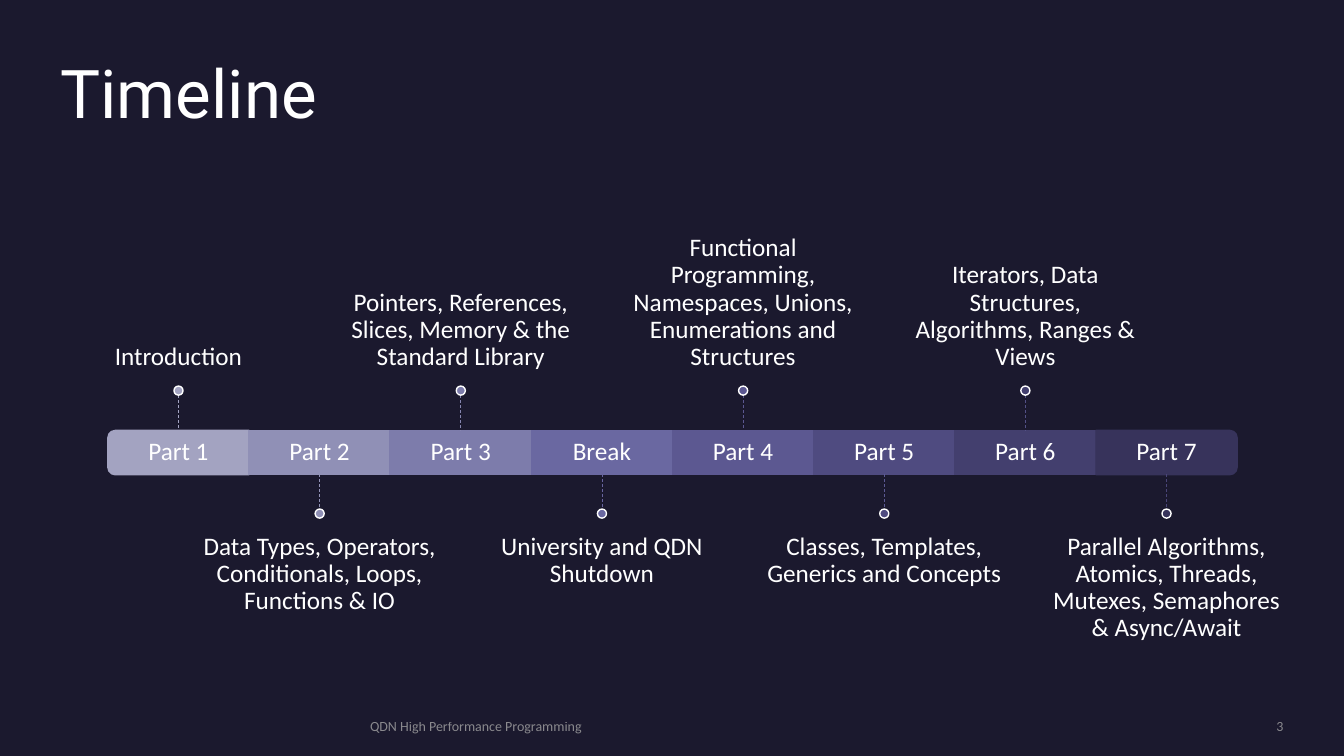
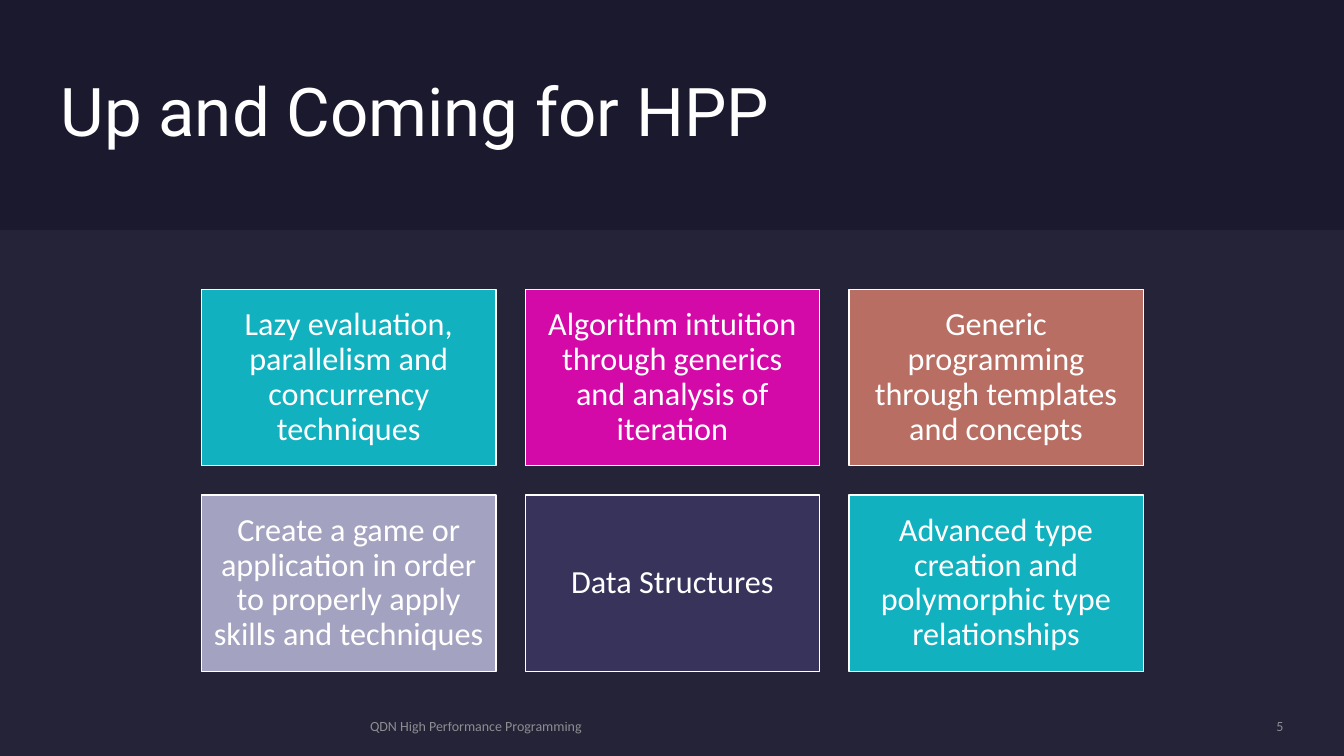
from dataclasses import dataclass
from lxml.etree import SubElement
from pptx import Presentation
from pptx.dml.color import RGBColor
from pptx.enum.dml import MSO_LINE
from pptx.enum.shapes import MSO_CONNECTOR, MSO_SHAPE as Preset
from pptx.enum.text import MSO_ANCHOR as Anchor, MSO_AUTO_SIZE, PP_ALIGN as Align
from pptx.oxml.ns import qn
from pptx.util import Inches, Pt


@dataclass(frozen=True)
class Theme:
    night: str = "1B192E"
    white: str = "FFFFFF"
    grey: str = "A6A6A6"
    band: str = "E4E3F0"
    teal: str = "12B1BF"
    magenta: str = "D40AA8"
    clay: str = "B86E62"
    lilac: str = "A3A3C1"
    indigo: str = "37335B"
    heading: str = "Roboto"
    body: str = "Calibri"
    title_size: int = 48
    card_size: int = 23
    step_size: int = 18
    footer_size: int = 10


theme = Theme()


def write(shape, text, size, color=theme.white, font=theme.body, align=Align.CENTER,
          anchor=Anchor.MIDDLE, inset=(0, 0, 0, 0), spacing=0.9):
    frame = shape.text_frame
    frame.text = text
    frame.word_wrap = True
    frame.auto_size = MSO_AUTO_SIZE.NONE
    frame.vertical_anchor = anchor
    frame.margin_left, frame.margin_top, frame.margin_right, frame.margin_bottom = map(Inches, inset)
    paragraph = frame.paragraphs[0]
    paragraph.alignment = align
    paragraph.line_spacing = spacing
    paragraph.font.name = font
    paragraph.font.size = Pt(size)
    paragraph.font.color.rgb = RGBColor.from_string(color)


def paint(shape, fill, line=None):
    shape.shadow.inherit = False
    shape.fill.solid()
    shape.fill.fore_color.rgb = RGBColor.from_string(fill)
    if line:
        shape.line.color.rgb = RGBColor.from_string(line)
        shape.line.width = Pt(1)
    else:
        shape.line.fill.background()


deck = Presentation()
deck.slide_width, deck.slide_height = Inches(13.33), Inches(7.5)
backdrop = deck.slide_master.background.fill
backdrop.solid()
backdrop.fore_color.rgb = RGBColor.from_string(theme.night)

slides = []
faded = []
for heading, number, width, height, anchor in [
    ("Timeline", "3", 12.13, 1.46, Anchor.TOP),
    ("Up and Coming for HPP", "5", 7.99, 1.08, Anchor.MIDDLE),
]:
    slide = deck.slides.add_slide(deck.slide_layouts[5])
    title = slide.shapes.title
    title.left, title.top = Inches(0.6), Inches(0.6)
    title.width, title.height = Inches(width), Inches(height)
    write(title, heading, theme.title_size, font=theme.heading, align=Align.LEFT, anchor=anchor)
    for text, left, room, align in [
        ("QDN High Performance Programming", 3.67, 6.98, Align.LEFT),
        (number, 10.88, 1.85, Align.RIGHT),
    ]:
        footer = slide.shapes.add_textbox(Inches(left), Inches(7.12), Inches(room), Inches(0.17))
        write(footer, text, theme.footer_size, theme.grey, align=align, spacing=1)
        faded.append((footer, 80))
    slides.append(slide)
timeline, upcoming = (slide.shapes for slide in slides)

steps = [
    ("Part 1", "Introduction", theme.lilac, theme.lilac),
    ("Part 2", "Data Types, Operators, Conditionals, Loops, Functions & IO", "9090B6", "9494B8"),
    ("Part 3", "Pointers, References, Slices, Memory & the Standard Library", "7D7CAB", "8685B0"),
    ("Break", "University and QDN Shutdown", "6A68A1", "6865A0"),
    ("Part 4", "Functional Programming, Namespaces, Unions, Enumerations and Structures",
     "5C5891", "5C5891"),
    ("Part 5", "Classes, Templates, Generics and Concepts", "4F4B80", "5D5A93"),
    ("Part 6", "Iterators, Data Structures, Algorithms, Ranges & Views", "433F6E", "535086"),
    ("Part 7", "Parallel Algorithms, Atomics, Threads, Mutexes, Semaphores & Async/Await",
     theme.indigo, "4A4678"),
]
step_width, step_height, bar_top, dot = 1.4, 0.44, 4.27, 0.09
for i, (label, topic, color, stem_color) in enumerate(steps):
    left = 1.07 + i * step_width
    center = left + step_width / 2
    if i in (0, len(steps) - 1):
        segment = timeline.add_shape(
            Preset.ROUND_2_SAME_RECTANGLE, Inches(center - step_height / 2),
            Inches(bar_top + (step_height - step_width) / 2), Inches(step_height), Inches(step_width))
        segment.rotation = 90 if i else 270
    else:
        segment = timeline.add_shape(Preset.RECTANGLE, Inches(left), Inches(bar_top),
                                     Inches(step_width), Inches(step_height))
    paint(segment, color, color)
    caption = timeline.add_textbox(Inches(left), Inches(bar_top), Inches(step_width), Inches(step_height))
    write(caption, label, theme.step_size)

    if i % 2 == 0:
        topic_top, anchor, inset = 2.31, Anchor.BOTTOM, (0, 0, 0, 0.15)
        stem_top, dot_top = 3.92, 3.83
    else:
        topic_top, anchor, inset = 5.14, Anchor.TOP, (0, 0.15, 0, 0)
        stem_top, dot_top = 4.7, 5.05
    details = timeline.add_textbox(Inches(center - 2.33 / 2), Inches(topic_top), Inches(2.33), Inches(1.52))
    write(details, topic, theme.step_size, anchor=anchor, inset=inset)
    stem = timeline.add_connector(MSO_CONNECTOR.STRAIGHT, Inches(center), Inches(stem_top),
                                  Inches(center), Inches(stem_top + 0.35))
    stem.line.color.rgb = RGBColor.from_string(stem_color)
    stem.line.width = Pt(0.5)
    stem.line.dash_style = MSO_LINE.DASH
    SubElement(stem._element.spPr, qn("a:effectLst"))
    marker = timeline.add_shape(Preset.OVAL, Inches(center - dot / 2), Inches(dot_top),
                                Inches(dot), Inches(dot))
    paint(marker, color, theme.white)

band = upcoming.add_shape(Preset.RECTANGLE, 0, Inches(2.28), deck.slide_width, Inches(5.22))
paint(band, theme.band)
faded.append((band, 5))

goals = [
    ("Lazy evaluation, parallelism and concurrency techniques", theme.teal),
    ("Algorithm intuition through generics and analysis of iteration", theme.magenta),
    ("Generic programming through templates and concepts", theme.clay),
    ("Create a game or application in order to properly apply skills and techniques", theme.lilac),
    ("Data Structures", theme.indigo),
    ("Advanced type creation and polymorphic type relationships", theme.teal),
]
for i, (goal, color) in enumerate(goals):
    row, column = divmod(i, 3)
    card = upcoming.add_shape(Preset.RECTANGLE, Inches(2 + 3.21 * column), Inches(2.87 + 2.04 * row),
                              Inches(2.92), Inches(1.75))
    paint(card, color, theme.white)
    write(card, goal, theme.card_size, inset=(0.1, 0.1, 0.1, 0.1))

for shape, opacity in faded:
    for tint in shape._element.iter(qn("a:srgbClr")):
        SubElement(tint, qn("a:alpha"), val=str(opacity * 1000))

deck.save("out.pptx")
